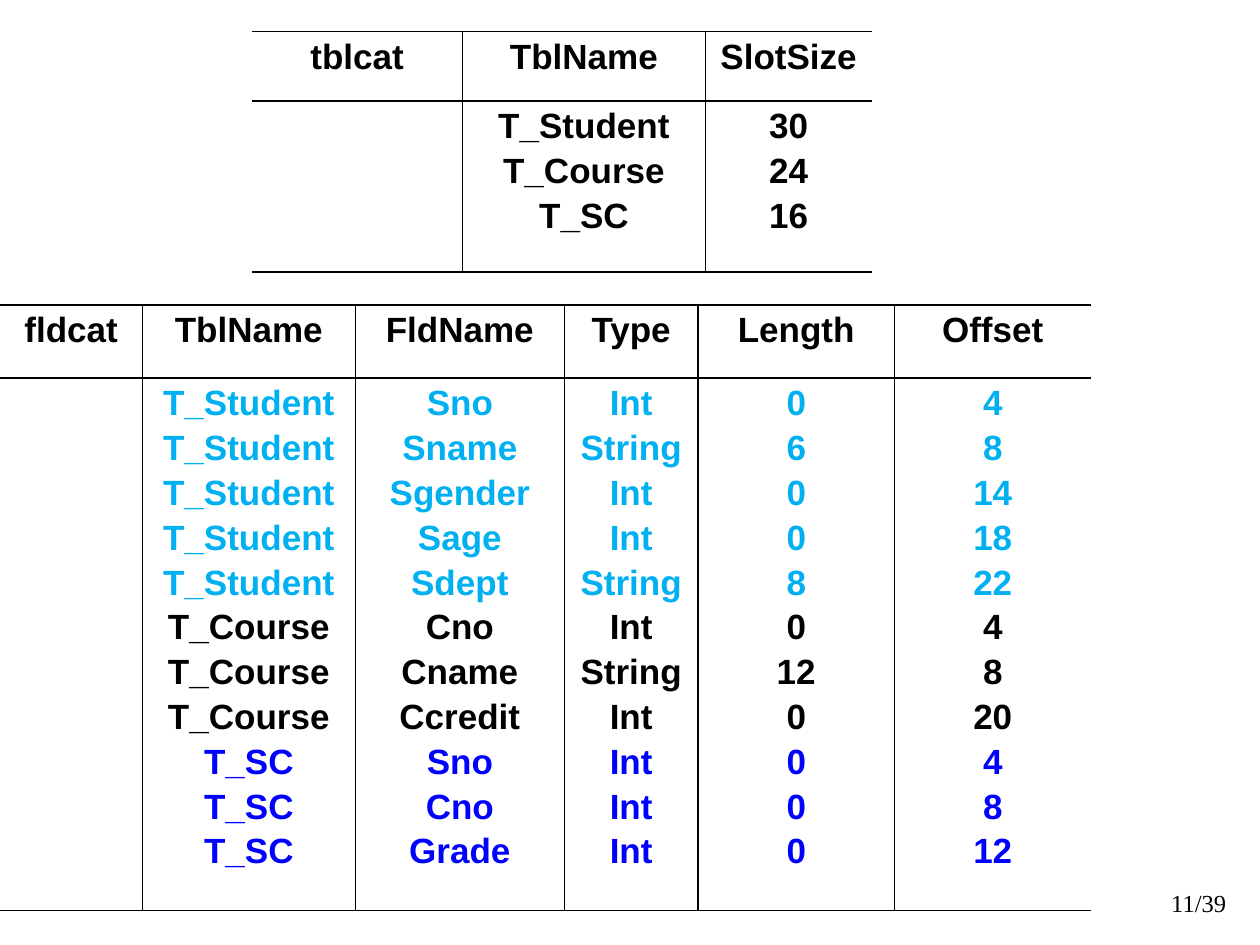
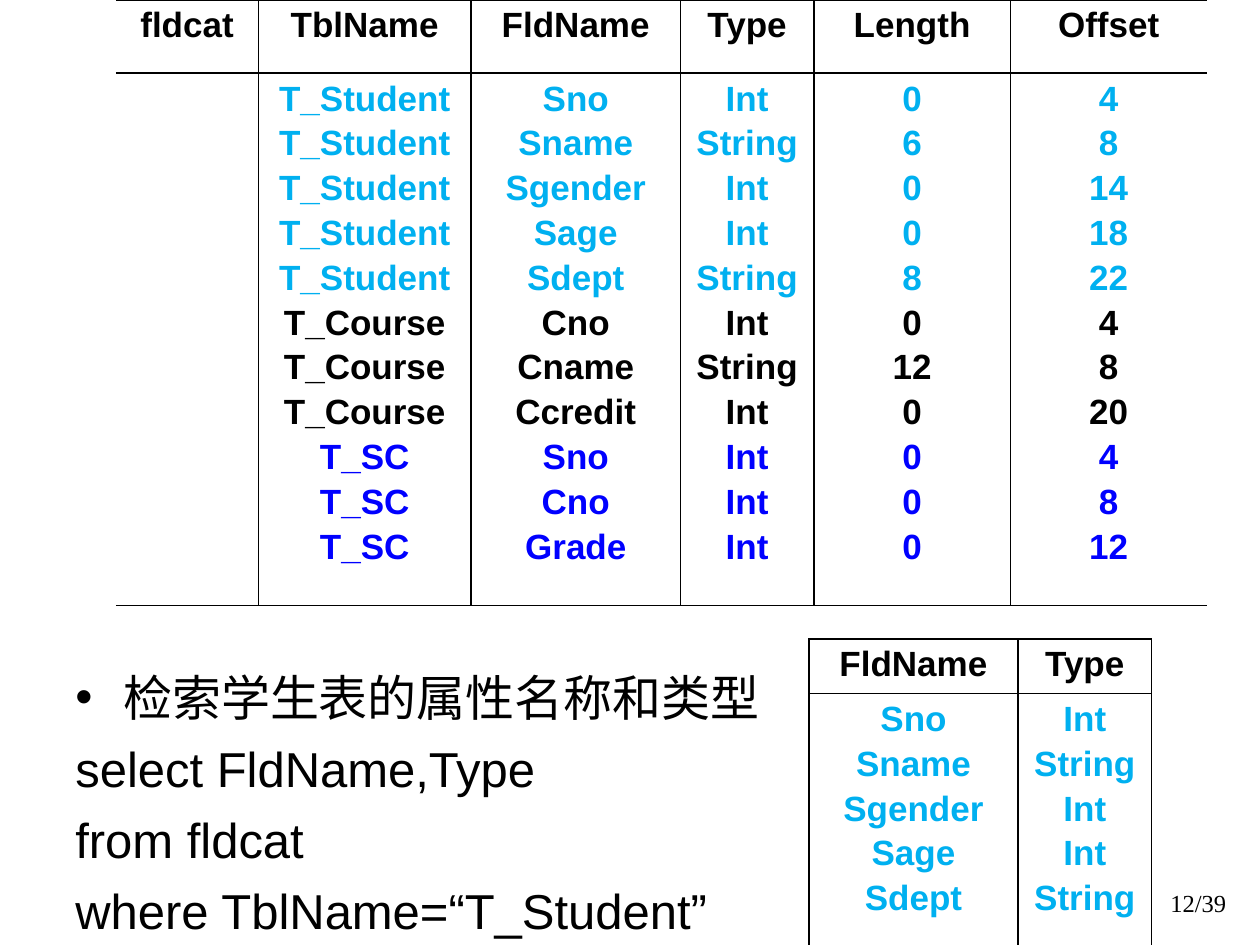
from lxml.etree import SubElement
from pptx import Presentation
from pptx.dml.color import RGBColor
from pptx.enum.text import PP_ALIGN as Align
from pptx.oxml.ns import qn
from pptx.util import Inches, Pt

BLACK = RGBColor(0, 0, 0)
SKY = RGBColor(0, 0xB0, 0xF0)
BLUE = RGBColor(0, 0, 0xFF)

TABLE_COLORS = {"T_Student": SKY, "T_Course": BLACK, "T_SC": BLUE}
TBLCAT_HEADS = ["tblcat", "TblName", "SlotSize"]
TBLCAT = [("", "T_Student", "30"), ("", "T_Course", "24"), ("", "T_SC", "16")]
FLDCAT_HEADS = ["fldcat", "TblName", "FldName", "Type", "Length", "Offset"]
FLDCAT = [
    ("", "T_Student", "Sno", "Int", "0", "4"),
    ("", "T_Student", "Sname", "String", "6", "8"),
    ("", "T_Student", "Sgender", "Int", "0", "14"),
    ("", "T_Student", "Sage", "Int", "0", "18"),
    ("", "T_Student", "Sdept", "String", "8", "22"),
    ("", "T_Course", "Cno", "Int", "0", "4"),
    ("", "T_Course", "Cname", "String", "12", "8"),
    ("", "T_Course", "Ccredit", "Int", "0", "20"),
    ("", "T_SC", "Sno", "Int", "0", "4"),
    ("", "T_SC", "Cno", "Int", "0", "8"),
    ("", "T_SC", "Grade", "Int", "0", "12"),
]
QUERY = ["检索学生表的属性名称和类型", "select FldName,Type", "from fldcat",
         "where TblName=“T_Student”"]

TBLCAT_WIDTHS = [1.67, 1.93, 1.32]
FLDCAT_WIDTHS = [1.13, 1.69, 1.66, 1.06, 1.56, 1.56]
PAGES = 39


def style_text(frame, size, colors, font="Arial", bold=False, align=Align.LEFT, gap=0):
    for index, (paragraph, color) in enumerate(zip(frame.paragraphs, colors)):
        paragraph.alignment = align
        paragraph.space_before = Pt(gap if index else 0)
        for run in paragraph.runs:
            run.font.size = Pt(size)
            run.font.name = font
            run.font.bold = bold
            run.font.color.rgb = color


def draw_borders(cell, hidden):
    props = cell._tc.get_or_add_tcPr()
    for side in "LRTB":
        line = SubElement(props, qn(f"a:ln{side}"), w=str(Pt(1)))
        if side in hidden:
            SubElement(line, qn("a:noFill"))
        else:
            fill = SubElement(line, qn("a:solidFill"))
            SubElement(fill, qn("a:srgbClr"), val=str(BLACK))


def add_catalog(slide, left, top, widths, heights, heads, records, colors, open_sides=True):
    table = slide.shapes.add_table(2, len(heads), Inches(left), Inches(top),
                                   Inches(sum(widths)), Inches(sum(heights))).table
    table.first_row = table.horz_banding = False
    for row, height in zip(table.rows, heights):
        row.height = Inches(height)
    last = len(heads) - 1
    for col, (head, values) in enumerate(zip(heads, zip(*records))):
        table.columns[col].width = Inches(widths[col])
        hidden = {0: "L", last: "R"}.get(col, "") if open_sides else ""
        for row, (lines, inks) in enumerate([([head], [BLACK]), (values, colors)]):
            cell = table.cell(row, col)
            if any(lines):
                cell.text_frame.text = "\n".join(lines)
            style_text(cell.text_frame, 20, inks, bold=True, align=Align.CENTER, gap=3.3)
            draw_borders(cell, hidden)
            cell.fill.background()


def add_fldcat(slide, left, top):
    add_catalog(slide, left, top, FLDCAT_WIDTHS, [0.58, 4.06], FLDCAT_HEADS, FLDCAT,
                [TABLE_COLORS[record[1]] for record in FLDCAT])


def add_text(slide, left, top, width, height, lines, **style):
    box = slide.shapes.add_textbox(Inches(left), Inches(top), Inches(width), Inches(height))
    frame = box.text_frame
    frame.word_wrap = True
    frame.text = "\n".join(lines)
    style_text(frame, colors=[BLACK] * len(lines), **style)
    return frame


def add_page_number(slide, number):
    add_text(slide, 7.75, 7, 2.08, 0.5, [f"{number}/{PAGES}"], size=14,
             font="Times New Roman", align=Align.RIGHT)


def add_query(slide):
    frame = add_text(slide, 0.5, 5.25, 8.92, 2, QUERY, size=28, gap=6.9)
    for index, paragraph in enumerate(frame.paragraphs):
        props = paragraph._p.get_or_add_pPr()
        props.set("marL", str(Inches(0.38)))
        props.set("indent", str(-Inches(0.38)))
        if index:
            SubElement(props, qn("a:buNone"))
        else:
            SubElement(props, qn("a:buFont"), typeface="Arial")
            SubElement(props, qn("a:buChar"), char="•")


def main():
    deck = Presentation()
    deck.slide_width, deck.slide_height = Inches(10), Inches(7.5)
    blank = deck.slide_layouts[6]

    catalogs = deck.slides.add_slide(blank)
    add_page_number(catalogs, 11)
    add_catalog(catalogs, 2, 0.25, TBLCAT_WIDTHS, [0.55, 1.36], TBLCAT_HEADS, TBLCAT,
                [BLACK] * len(TBLCAT))
    add_fldcat(catalogs, 0, 2.42)

    retrieval = deck.slides.add_slide(blank)
    add_query(retrieval)
    add_page_number(retrieval, 12)
    add_fldcat(retrieval, 0.92, 0)
    found = [record[2:4] for record in FLDCAT if record[1] == "T_Student"]
    add_catalog(retrieval, 6.42, 5.07, FLDCAT_WIDTHS[2:4], [0.41, 2.08], FLDCAT_HEADS[2:4],
                found, [SKY] * len(found), open_sides=False)

    deck.save("out.pptx")


if __name__ == "__main__":
    main()
